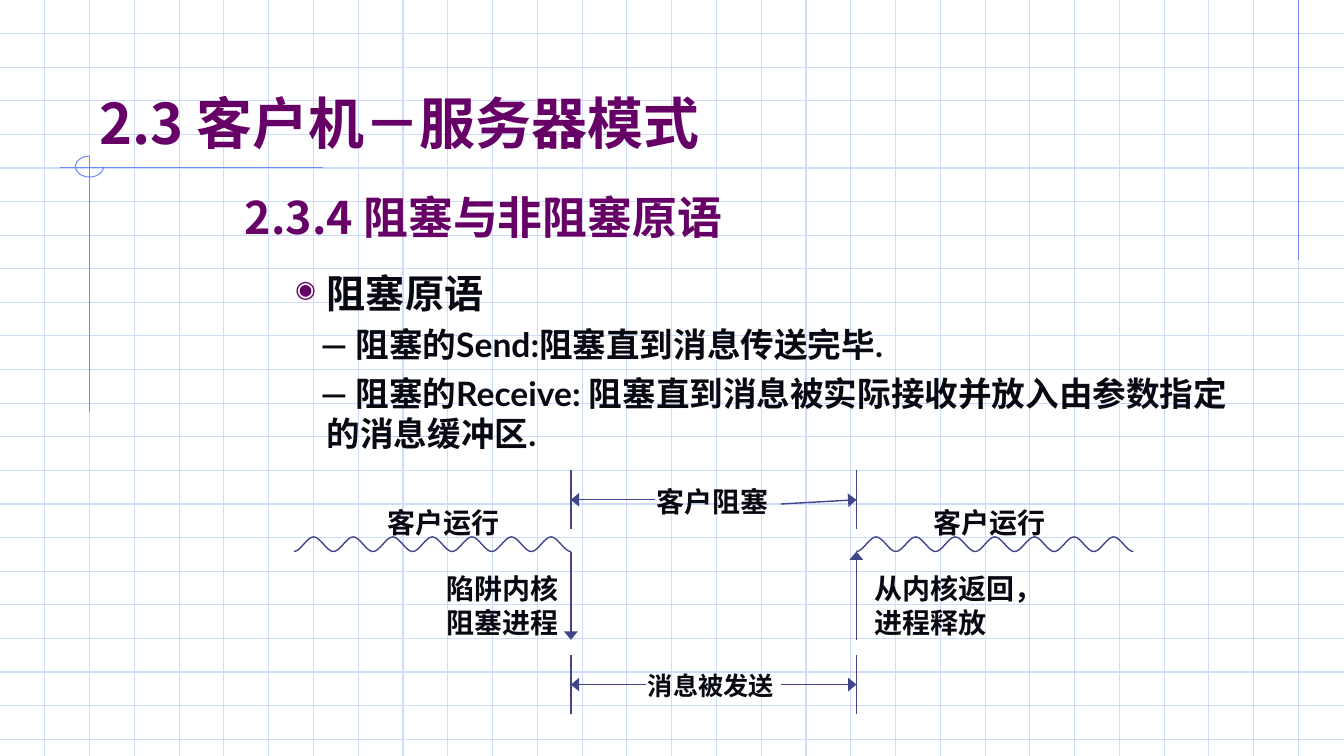
from dataclasses import dataclass

from lxml.etree import SubElement
from pptx import Presentation
from pptx.dml.color import RGBColor
from pptx.enum.shapes import MSO_CONNECTOR, MSO_SHAPE
from pptx.enum.text import MSO_ANCHOR
from pptx.oxml.ns import qn
from pptx.util import Pt


@dataclass(frozen=True)
class Theme:
    paper: str = "FFFFFF"
    grid: str = "CFDBFD"
    accent: str = "6F89F7"
    diagram: str = "40458C"
    heading: str = "660066"
    ink: str = "080912"
    cjk: str = "Noto Sans CJK JP"
    body: str = "Lato"
    serif: str = "Times New Roman"
    title_size: int = 40
    section_size: int = 32
    topic_size: int = 28
    detail_size: int = 24
    label_size: int = 20
    small_size: int = 18
    thin: float = 0.75
    stroke: float = 1


@dataclass(frozen=True)
class Box:
    left: float
    top: float
    width: float
    height: float

    def inner(self, left, top, width, height):
        return Box(self.left + left, self.top + top, width, height)

    def lengths(self):
        return Pt(self.left), Pt(self.top), Pt(self.width), Pt(self.height)


THEME = Theme()


def rgb(value):
    return RGBColor.from_string(value)


def add_line(shapes, start, end, color, weight, arrow=False):
    line = shapes.add_connector(
        MSO_CONNECTOR.STRAIGHT, *(Pt(value) for value in (*start, *end)))
    line.line.color.rgb = rgb(color)
    line.line.width = Pt(weight)
    if arrow:
        SubElement(line.line._get_or_add_ln(), qn("a:tailEnd"),
                   type="triangle", w="lg", len="med")
    SubElement(line._element.spPr, qn("a:effectLst"))


def style_outline(outline, color, weight):
    outline.fill.background()
    outline.line.color.rgb = rgb(color)
    outline.line.width = Pt(weight)
    outline.shadow.inherit = False


def add_frame(shapes, box, anchor=MSO_ANCHOR.TOP):
    frame = shapes.add_textbox(*box.lengths()).text_frame
    frame.word_wrap = True
    frame.vertical_anchor = anchor
    return frame


def write(paragraph, text, *, size, font, color=THEME.ink, east_asian=THEME.cjk,
          leading=None, before=None):
    if leading:
        paragraph.line_spacing = Pt(leading)
    if before:
        paragraph.space_before = Pt(before)
    run = paragraph.add_run()
    run.text = text
    run.font.size = Pt(size)
    run.font.bold = True
    run.font.color.rgb = rgb(color)
    run.font.name = font
    SubElement(run.font._element, qn("a:ea"), typeface=east_asian)


def indent(paragraph, margin, first_line, bullet=None):
    properties = paragraph._p.get_or_add_pPr()
    properties.set("marL", str(Pt(margin)))
    properties.set("indent", str(Pt(first_line)))
    if bullet:
        color = SubElement(properties, qn("a:buClr"))
        SubElement(color, qn("a:srgbClr"), val=THEME.heading)
        SubElement(properties, qn("a:buSzPct"), val="60000")
        SubElement(properties, qn("a:buChar"), char=bullet)


def draw_background(slide, box):
    fill = slide.background.fill
    fill.solid()
    fill.fore_color.rgb = rgb(THEME.paper)
    shapes = slide.shapes.add_group_shape().shapes
    right, bottom = box.left + box.width, box.top + box.height
    for row in range(1, 23):
        y = box.top + 24 * row
        add_line(shapes, (box.left, y), (right, y), THEME.grid, THEME.thin)
    for column in range(1, 30):
        x = box.left + 32 * column
        add_line(shapes, (x, box.top), (x, bottom), THEME.grid, THEME.thin)
    accents = [((928, 0), (928, 186)), ((231, 119.5), (43, 119.5)), ((64, 111.5), (64, 294.5))]
    for (x1, y1), (x2, y2) in accents:
        add_line(shapes, (box.left + x1, box.top + y1),
                 (box.left + x2, box.top + y2), THEME.accent, THEME.thin)
    hook = shapes.add_shape(MSO_SHAPE.ARC, *box.inner(54, 111.5, 20, 15).lengths())
    hook.adjustments[0] = 0
    hook.adjustments[1] = 162
    style_outline(hook, THEME.accent, THEME.thin)


def draw_title(slide, box):
    frame = add_frame(slide.shapes, box, MSO_ANCHOR.BOTTOM)
    write(frame.paragraphs[0], "2.3 客户机－服务器模式", size=THEME.title_size,
          font=THEME.cjk, color=THEME.heading)


def draw_body(slide, box):
    frame = add_frame(slide.shapes, box)
    write(frame.paragraphs[0], "2.3.4 阻塞与非阻塞原语", size=THEME.section_size,
          font=THEME.cjk, color=THEME.heading, leading=41)
    topic = frame.add_paragraph()
    indent(topic, 58.5, -22.5, "◉")
    write(topic, "阻塞原语", size=THEME.topic_size, font=THEME.body, leading=34, before=18)
    for primitive in ("阻塞的Send:阻塞直到消息传送完毕.",
                      "阻塞的Receive: 阻塞直到消息被实际接收并放入由参数指定的消息缓冲区."):
        detail = frame.add_paragraph()
        indent(detail, 58.5, -4.5)
        write(detail, "— ", size=THEME.detail_size, font=THEME.serif,
              east_asian=THEME.body, leading=28.6, before=6.2)
        write(detail, primitive, size=THEME.detail_size, font=THEME.body)


def draw_wave(shapes, box):
    halves = 14
    step = box.width / halves
    levels = [box.top + box.height, box.top]
    points = [(box.left, levels[0])]
    for half in range(halves):
        x, y, end = box.left + half * step, levels[half % 2], levels[(half + 1) % 2]
        points += [(x + step / 3, y), (x + step * 2 / 3, end), (x + step, end)]
    points = [(Pt(x), Pt(y)) for x, y in points]
    builder = shapes.build_freeform(*points[0])
    builder.add_line_segments(points[1:], close=False)
    wave = builder.convert_to_shape()
    segments = list(wave._element.iter(qn("a:lnTo")))
    outline = segments[0].getparent()
    for first in range(0, len(segments), 3):
        curve = SubElement(outline, qn("a:cubicBezTo"))
        for segment in segments[first:first + 3]:
            curve.append(segment[0])
            outline.remove(segment)
    style_outline(wave, THEME.diagram, THEME.stroke)


def draw_timeline(slide, box):
    shapes = slide.shapes.add_group_shape().shapes
    blocked, resumed = 198, 402

    def stroke(x1, y1, x2, y2, arrow=False):
        add_line(shapes, (box.left + x1, box.top + y1), (box.left + x2, box.top + y2),
                 THEME.diagram, THEME.stroke, arrow)

    for x in (blocked, resumed):
        stroke(x, 0, x, 42)
        stroke(x, 132, x, 174)
    stroke(blocked, 58, blocked, 121, True)
    stroke(resumed, 121, resumed, 58, True)
    stroke(258, 21, blocked, 21, True)
    stroke(348, 24, resumed, 21, True)
    stroke(252, 153, blocked, 153, True)
    stroke(348, 153, resumed, 153, True)
    for x in (0, resumed):
        draw_wave(shapes, box.inner(x, 47.5, 198, 10.5))

    labels = [("客户阻塞", (252, 6.2, 102, 32), THEME.label_size),
              ("消息被发送", (246, 139.2, 108, 29), THEME.small_size),
              ("从内核返回，进程释放", (408, 68.5, 150, 56), THEME.label_size),
              ("陷阱内核阻塞进程", (102, 68.5, 102, 56), THEME.label_size),
              ("客户运行", (60, 21.2, 108, 32), THEME.label_size),
              ("客户运行", (450, 21.2, 108, 32), THEME.label_size)]
    for label, place, size in labels:
        frame = add_frame(shapes, box.inner(*place))
        write(frame.paragraphs[0], label, size=size, font=THEME.serif, leading=size * 1.22)


def main():
    deck = Presentation()
    page = Box(0, 0, 960.5, 540)
    deck.slide_width, deck.slide_height = Pt(page.width), Pt(page.height)
    slide = deck.slides.add_slide(deck.slide_layouts[6])
    draw_background(slide, page)
    draw_title(slide, page.inner(64, 24, 816, 90.5))
    draw_body(slide, page.inner(168, 129.2, 726, 376))
    draw_timeline(slide, page.inner(210, 336, 600, 174))
    deck.save("out.pptx")


if __name__ == "__main__":
    main()
